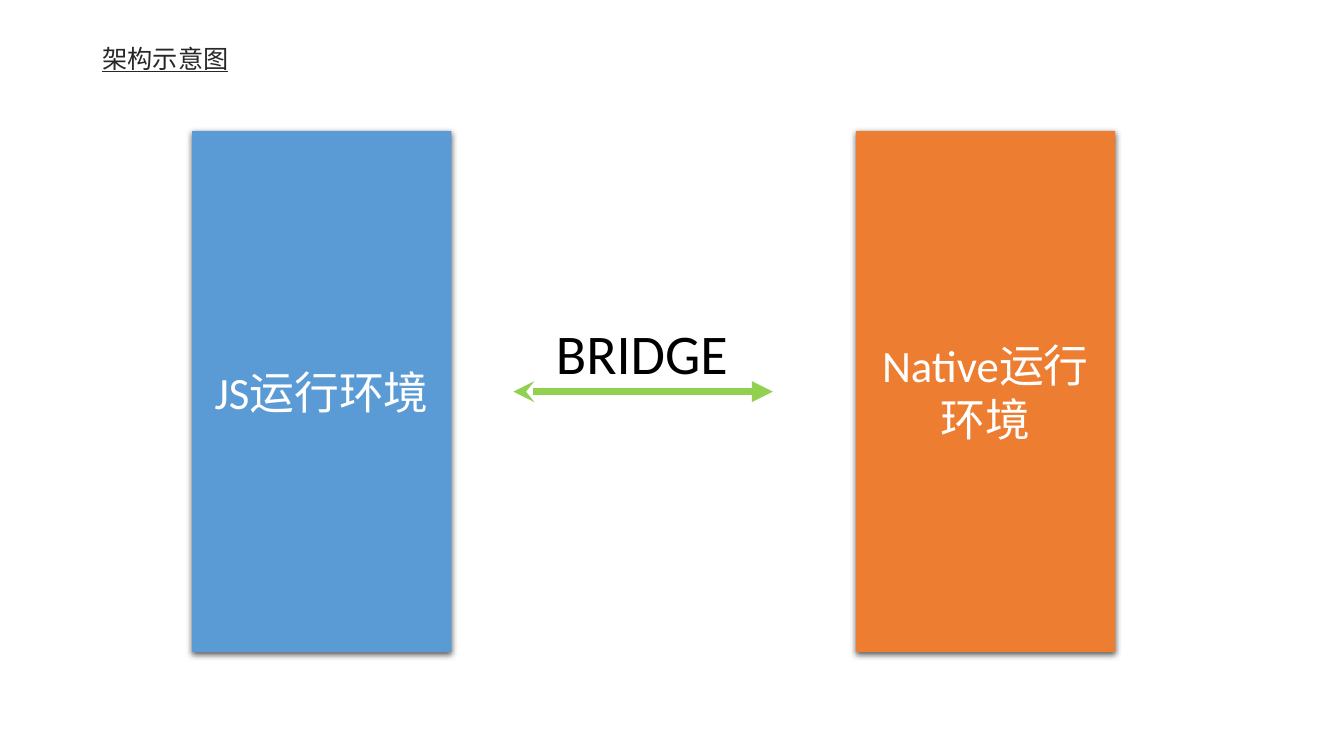
from dataclasses import dataclass

from lxml.etree import SubElement
from pptx import Presentation
from pptx.dml.color import RGBColor
from pptx.enum.shapes import MSO_CONNECTOR as Connector, MSO_SHAPE as Shape
from pptx.enum.text import MSO_ANCHOR as Anchor, MSO_AUTO_SIZE as AutoSize, PP_ALIGN as Align
from pptx.oxml.ns import qn
from pptx.util import Emu, Pt

TITLE = "架构示意图"
RUNTIMES = [("JS运行环境", "5B9BD5"), ("Native运行环境", "ED7D31")]
BRIDGE = "BRIDGE"

PX = 9525
SLIDE_SIZE = (1280, 720)
TITLE_BOX = (88, 39, 768, 36)
BLOCK_LEFT, BLOCK_TOP, BLOCK_WIDTH, BLOCK_HEIGHT = 183, 125, 247, 496
BLOCK_STEP = 632
ARROW_LEFT, ARROW_RIGHT = 489, 736
BRIDGE_LEFT, BRIDGE_WIDTH, BRIDGE_HEIGHT = 520, 185, 74


@dataclass(frozen=True)
class Theme:
    latin: str = "Calibri"
    chinese: str = "Noto Sans CJK SC"
    title: str = "272727"
    label: str = "FFFFFF"
    bridge: str = "000000"
    arrow: str = "92D050"
    title_size: int = 18
    label_size: int = 32
    bridge_size: int = 40
    arrow_width: int = 5


THEME = Theme()


def px(*lengths):
    return [Emu(length * PX) for length in lengths]


def write(shape, text, *, size, color, font=THEME.latin, align=Align.LEFT,
          anchor=Anchor.MIDDLE, wrap=True, fit=AutoSize.NONE,
          underline=None, spacing=None):
    frame = shape.text_frame
    frame.word_wrap = wrap
    frame.auto_size = fit
    frame.vertical_anchor = anchor
    para = frame.paragraphs[0]
    para.alignment = align
    para.line_spacing = spacing
    span = para.add_run()
    span.text = text
    span.font.size = Pt(size)
    span.font.name = font
    span.font.underline = underline
    span.font.color.rgb = RGBColor.from_string(color)
    SubElement(span.font._element, qn("a:ea"), typeface=THEME.chinese)


def cast_shadow(shape):
    """Give the shape a soft black shadow straight below it."""
    shape.shadow.inherit = False
    effects = shape._element.spPr.find(qn("a:effectLst"))
    shadow = SubElement(effects, qn("a:outerShdw"), blurRad=str(Pt(4.5)),
                        dist=str(Pt(1.5)), dir="5400000", algn="ctr", rotWithShape="0")
    black = SubElement(shadow, qn("a:srgbClr"), val="000000")
    SubElement(black, qn("a:alpha"), val="63000")


def add_runtime(slide, left, text, color):
    block = slide.shapes.add_shape(
        Shape.RECTANGLE, *px(left, BLOCK_TOP, BLOCK_WIDTH, BLOCK_HEIGHT))
    block.fill.solid()
    block.fill.fore_color.rgb = RGBColor.from_string(color)
    block.line.fill.background()
    cast_shadow(block)
    write(block, text, size=THEME.label_size, color=THEME.label, align=Align.CENTER)


def add_arrow(slide, left, right, y):
    arrow = slide.shapes.add_connector(Connector.STRAIGHT, *px(left, y, right, y))
    arrow.line.color.rgb = RGBColor.from_string(THEME.arrow)
    arrow.line.width = Pt(THEME.arrow_width)
    outline = arrow.line._get_or_add_ln()
    SubElement(outline, qn("a:headEnd"), type="stealth")
    SubElement(outline, qn("a:tailEnd"), type="triangle")
    SubElement(arrow._element.spPr, qn("a:effectLst"))


def main():
    deck = Presentation()
    deck.slide_width, deck.slide_height = px(*SLIDE_SIZE)
    slide = deck.slides.add_slide(deck.slide_layouts[5])

    title = slide.shapes.title
    title.left, title.top, title.width, title.height = px(*TITLE_BOX)
    write(title, TITLE, size=THEME.title_size, color=THEME.title,
          font=THEME.chinese, underline=True, spacing=0.9)

    for index, (text, color) in enumerate(RUNTIMES):
        add_runtime(slide, BLOCK_LEFT + index * BLOCK_STEP, text, color)

    middle = BLOCK_TOP + BLOCK_HEIGHT // 2
    add_arrow(slide, ARROW_LEFT, ARROW_RIGHT, middle)
    label = slide.shapes.add_textbox(
        *px(BRIDGE_LEFT, middle - BRIDGE_HEIGHT, BRIDGE_WIDTH, BRIDGE_HEIGHT))
    write(label, BRIDGE, size=THEME.bridge_size, color=THEME.bridge,
          anchor=Anchor.TOP, wrap=False, fit=AutoSize.SHAPE_TO_FIT_TEXT)

    deck.save("out.pptx")


if __name__ == "__main__":
    main()
